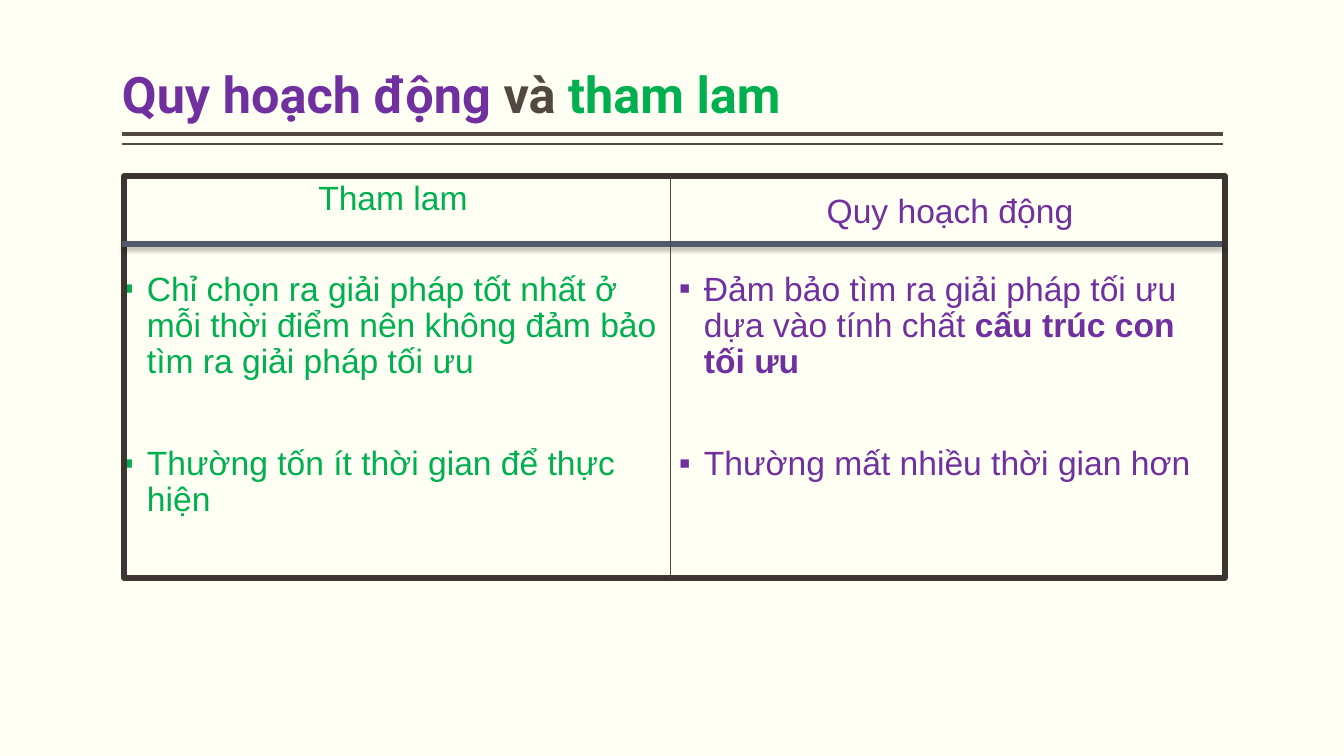
from lxml import etree
from pptx import Presentation
from pptx.dml.color import RGBColor
from pptx.enum.shapes import MSO_CONNECTOR, MSO_SHAPE
from pptx.enum.text import MSO_ANCHOR, PP_ALIGN
from pptx.oxml.ns import qn
from pptx.util import Emu, Pt

RECTANGLE = MSO_SHAPE.RECTANGLE
STRAIGHT = MSO_CONNECTOR.STRAIGHT
TOP, BOTTOM = MSO_ANCHOR.TOP, MSO_ANCHOR.BOTTOM
LEFT, CENTER = PP_ALIGN.LEFT, PP_ALIGN.CENTER

COLORS = {
    "page": "FFFFF3", "ink": "514843", "purple": "7030A0", "green": "00B050",
    "frame": "3C3532", "header": "525A6A", "divider": "504641", "shadow": "000000",
}


class ComparisonPage:
    """Draws styled elements on one slide, with lengths in px."""

    scale = 12192000 / 1344
    line_spacing = 0.9
    inset = 5
    indent = 25

    def __init__(self, deck):
        self.page = deck.slides.add_slide(deck.slide_layouts[6])
        fill = self.page.background.fill
        fill.solid()
        fill.fore_color.rgb = self.color("page")

    @classmethod
    def px(cls, *lengths):
        return [Emu(round(length * cls.scale)) for length in lengths]

    def color(self, name):
        return RGBColor.from_string(COLORS[name])

    def text(self, bounds, paragraphs, size=24, font="Arial", bold=False,
             align=LEFT, anchor=TOP, bottom=inset, bullet=False, gap=0):
        box = self.page.shapes.add_textbox(*self.px(*bounds))
        frame = box.text_frame
        margin_top, margin_bottom = self.px(self.inset, bottom)
        frame_format = {
            "word_wrap": True, "vertical_anchor": anchor, "margin_left": 0,
            "margin_right": 0, "margin_top": margin_top, "margin_bottom": margin_bottom,
        }
        for name, value in frame_format.items():
            setattr(frame, name, value)
        for index, spans in enumerate(paragraphs):
            para = frame.add_paragraph() if index else frame.paragraphs[0]
            para_format = {
                "alignment": align, "line_spacing": self.line_spacing,
                "space_before": Pt(gap if index else 10 if bullet else 0),
            }
            for name, value in para_format.items():
                setattr(para, name, value)
            if bullet:
                self.bullet(para)
            for words, color, *emphasis in spans:
                span = para.add_run()
                span.text = words
                span_format = {"name": font, "size": Pt(size), "bold": bold or bool(emphasis)}
                for name, value in span_format.items():
                    setattr(span.font, name, value)
                span.font.color.rgb = self.color(color)

    def bullet(self, para):
        properties = para._p.get_or_add_pPr()
        indent, = self.px(self.indent)
        properties.set("marL", str(indent))
        properties.set("indent", str(-indent))
        etree.SubElement(properties, qn("a:buFont"), typeface="Arial")
        etree.SubElement(properties, qn("a:buChar"), char="▪")

    def line(self, start, end, color, width, shadow=False):
        line = self.page.shapes.add_connector(STRAIGHT, *self.px(*start, *end))
        line.line.color.rgb = self.color(color)
        line.line.width = Pt(width)
        effects = etree.SubElement(line._element.spPr, qn("a:effectLst"))
        if shadow:
            outer = etree.SubElement(
                effects, qn("a:outerShdw"), blurRad=str(Pt(3.1)), dist=str(Pt(2)),
                dir="5400000", rotWithShape="0")
            tint = etree.SubElement(outer, qn("a:srgbClr"), val=COLORS["shadow"])
            etree.SubElement(tint, qn("a:alpha"), val="38000")

    def outline(self, bounds, color, width):
        shape = self.page.shapes.add_shape(RECTANGLE, *self.px(*bounds))
        shape.shadow.inherit = False
        shape.fill.background()
        shape.line.color.rgb = self.color(color)
        shape.line.width = Pt(width)
        etree.SubElement(shape.line._get_or_add_ln(), qn("a:round"))


def main():
    deck = Presentation()
    deck.slide_width, deck.slide_height = ComparisonPage.px(1344, 756)
    page = ComparisonPage(deck)

    left, right, column = 122, 679, 542
    table_top, body_top, table_bottom = 176, 267, 578

    for y, width in ((134, 3), (144, 1)):
        page.line((left, y), (1223, y), "ink", width)
    page.text(
        (left, 8, 1101, 121),
        [[("Quy hoạch động ", "purple"), ("và ", "ink"), ("tham lam", "green")]],
        size=36, font="Roboto", bold=True, anchor=BOTTOM)

    columns = (
        (left, "Tham lam", "green", {"anchor": TOP}, [
            [("Chỉ chọn ra giải pháp tốt nhất ở mỗi thời điểm nên không đảm bảo "
              "tìm ra giải pháp tối ưu", "green")],
            [("Thường tốn ít thời gian để thực hiện", "green")],
        ]),
        (right, "Quy hoạch động", "purple", {"anchor": BOTTOM, "bottom": 41}, [
            [("Đảm bảo tìm ra giải pháp tối ưu dựa vào tính chất ", "purple"),
             ("cấu trúc con tối ưu", "purple", "bold")],
            [("Thường mất nhiều thời gian hơn", "purple")],
        ]),
    )
    for x, heading, color, placement, points in columns:
        page.text((x, table_top, column, body_top - table_top), [[(heading, color)]],
                  align=CENTER, **placement)
        page.text((x, body_top, column, 413), points, bullet=True, gap=47)

    page.outline((124, table_top, 1101, table_bottom - table_top), "frame", 3.78)
    page.line((left, 244), (1222, 244), "header", 3.82, shadow=True)
    page.line((670, table_top), (670, table_bottom), "divider", 0.5)

    deck.save("out.pptx")


if __name__ == "__main__":
    main()
